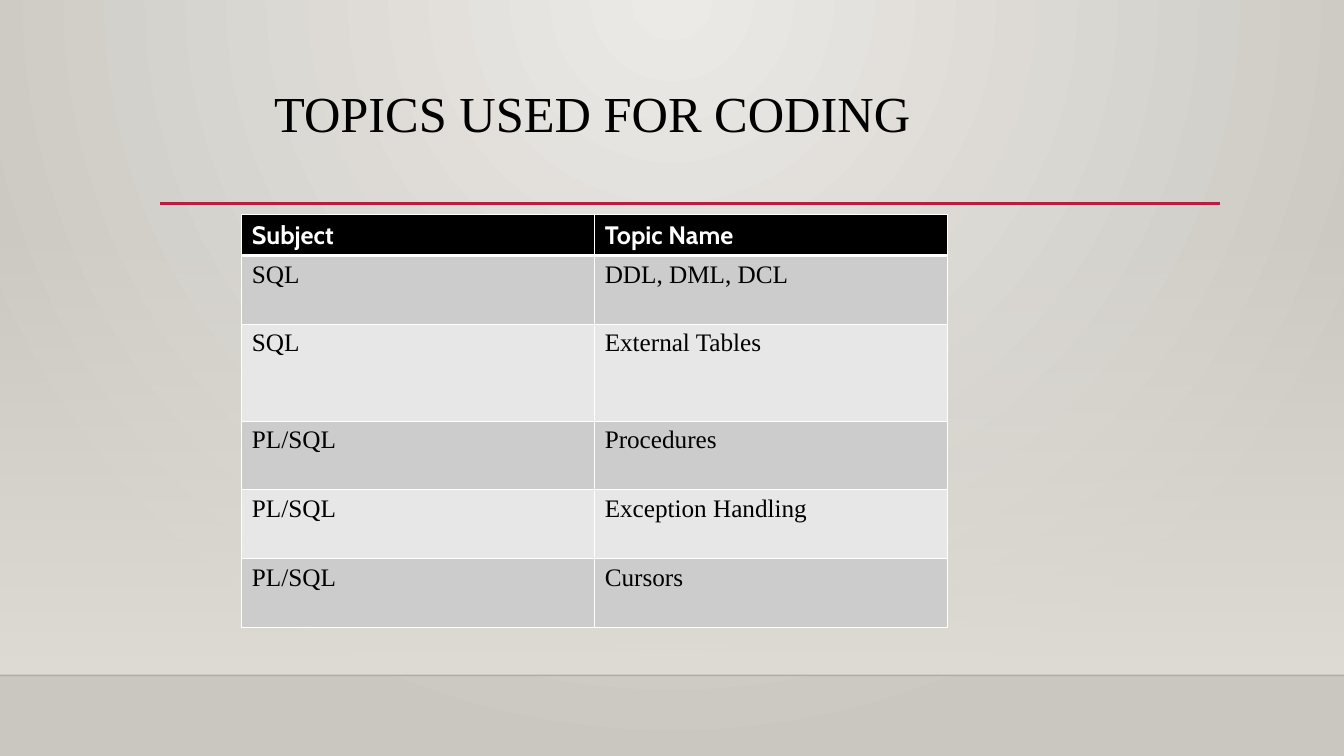
import pptx
import pptx.dml.color
import pptx.enum.shapes
import pptx.enum.text
import pptx.oxml
import pptx.oxml.ns
import pptx.util

RGBColor = pptx.dml.color.RGBColor
BLACK = RGBColor(0x00, 0x00, 0x00)
WHITE = RGBColor(0xFF, 0xFF, 0xFF)
CRIMSON = RGBColor(0xB7, 0x1E, 0x42)
PALE_STONE = RGBColor(0xEC, 0xEA, 0xE7)
DARK_STONE = RGBColor(0xCA, 0xC7, 0xC1)
FLOOR_GLOW = RGBColor(0xDF, 0xDB, 0xD5)
DARK_BAND = RGBColor(0xCC, 0xCC, 0xCC)
LIGHT_BAND = RGBColor(0xE7, 0xE7, 0xE7)

TOPICS = [
    ("Subject", "Topic Name"),
    ("SQL", "DDL, DML, DCL"),
    ("SQL", "External Tables"),
    ("PL/SQL", "Procedures"),
    ("PL/SQL", "Exception Handling"),
    ("PL/SQL", "Cursors"),
]
ROW_HEIGHTS = [5.4, 9.1, 12.8, 9.1, 9.1, 9.1]
HEADER_FONT = {"name": "Cabin", "size": pptx.util.Pt(18), "bold": True}
BODY_FONT = {"name": "Times New Roman", "size": pptx.util.Pt(18), "bold": False}
TITLE_FONT = {"name": "Times New Roman", "size": pptx.util.Pt(36), "bold": False}


def add_element(parent, tag, **attributes):
    """Append a drawing element with the given attributes."""
    element = pptx.oxml.ns.qn(tag)
    child = parent.makeelement(element, {key: str(value) for key, value in attributes.items()})
    parent.append(child)
    return child


def set_format(target, values):
    """Set each attribute named in a dict of format values."""
    for name, value in values.items():
        setattr(target, name, value)


class SlideBuilder:
    """Draw elements on a slide, with lengths in percent of its size."""

    def __init__(self, presentation):
        self.width = presentation.slide_width
        self.height = presentation.slide_height
        self.slide = presentation.slides.add_slide(presentation.slide_layouts[5])

    def across(self, share):
        return round(self.width * share / 100)

    def down(self, share):
        return round(self.height * share / 100)

    def box(self, left, top, width, height):
        return self.across(left), self.down(top), self.across(width), self.down(height)

    def style_text(self, frame, text, color, font):
        frame.text = text
        run = frame.paragraphs[0].runs[0]
        set_format(run.font, font)
        run.font.color.rgb = color

    def color_stops(self, fill, colors):
        fill.gradient()
        for stop, color in zip(fill.gradient_stops, colors):
            stop.color.rgb = color

    def background(self, center, edge):
        self.color_stops(self.slide.background.fill, (center, edge))
        gradient = self.slide.element.find(".//" + pptx.oxml.ns.qn("a:gradFill"))
        gradient.remove(gradient.find(pptx.oxml.ns.qn("a:lin")))
        circle = add_element(gradient, "a:path", path="circle")
        add_element(circle, "a:fillToRect", l=43000, t=0, r=43000, b=100000)

    def fading_panel(self, color, *place):
        rectangle = pptx.enum.shapes.MSO_SHAPE.RECTANGLE
        panel = self.slide.shapes.add_shape(rectangle, *self.box(*place))
        panel.shadow.inherit = False
        panel.line.fill.background()
        self.color_stops(panel.fill, (color, color))
        panel.fill.gradient_angle = 270
        first_color = panel.element.find(".//" + pptx.oxml.ns.qn("a:srgbClr"))
        add_element(first_color, "a:alpha", val=0)

    def rule(self, left, right, top, color, points, opacity=100):
        straight = pptx.enum.shapes.MSO_CONNECTOR.STRAIGHT
        line = self.slide.shapes.add_connector(
            straight, self.across(left), self.down(top), self.across(right), self.down(top))
        line.line.color.rgb = color
        line.line.width = pptx.util.Pt(points)
        if opacity < 100:
            line_color = line.element.find(".//" + pptx.oxml.ns.qn("a:srgbClr"))
            add_element(line_color, "a:alpha", val=opacity * 1000)
        add_element(line.element.spPr, "a:effectLst")

    def title(self, text, *place):
        title = self.slide.shapes.title
        set_format(title, dict(zip(("left", "top", "width", "height"), self.box(*place))))
        self.style_text(title.text_frame, text, BLACK, TITLE_FONT)
        set_format(title.text_frame, {
            "word_wrap": True,
            "auto_size": pptx.enum.text.MSO_AUTO_SIZE.NONE,
            "vertical_anchor": pptx.enum.text.MSO_ANCHOR.TOP,
        })
        set_format(title.text_frame.paragraphs[0], {
            "alignment": pptx.enum.text.PP_ALIGN.LEFT, "line_spacing": 0.9})

    def cell_borders(self, cell, points):
        properties = cell._tc.get_or_add_tcPr()
        for index, (side, width) in enumerate(points.items()):
            border = pptx.oxml.parse_xml(
                f'<a:{side} {pptx.oxml.ns.nsdecls("a")} w="{pptx.util.Pt(width)}">'
                f'<a:solidFill><a:srgbClr val="{WHITE}"/></a:solidFill></a:{side}>')
            properties.insert(index, border)

    def table(self, rows, heights, left, top, width):
        place = self.box(left, top, width, sum(heights))
        table = self.slide.shapes.add_table(len(rows), len(rows[0]), *place).table
        for row, height in zip(table.rows, heights):
            row.height = self.down(height)
        for row_index, texts in enumerate(rows):
            header = row_index == 0
            band = DARK_BAND if row_index % 2 else LIGHT_BAND
            borders = {"lnL": 1, "lnR": 1, "lnT": 3 if row_index == 1 else 1,
                       "lnB": 3 if header else 1}
            for column_index, text in enumerate(texts):
                cell = table.cell(row_index, column_index)
                self.style_text(cell.text_frame, text, WHITE if header else BLACK,
                                HEADER_FONT if header else BODY_FONT)
                cell.fill.solid()
                cell.fill.fore_color.rgb = BLACK if header else band
                self.cell_borders(cell, borders)


def main():
    """Build the slide of coding topics and save it."""
    presentation = pptx.Presentation()
    presentation.slide_width = pptx.util.Inches(13.33)
    presentation.slide_height = pptx.util.Inches(7.5)
    builder = SlideBuilder(presentation)
    builder.background(PALE_STONE, DARK_STONE)
    builder.fading_panel(FLOOR_GLOW, 0, 29.47, 100, 59.86)
    builder.rule(0, 100, 89.33, BLACK, 1, opacity=20)
    builder.rule(11.93, 90.75, 26.93, CRIMSON, 2.5)
    builder.title("TOPICS USED FOR CODING", 19.65, 11.07, 78.75, 15.33)
    builder.table(TOPICS, ROW_HEIGHTS, 18, 28.4, 52.5)
    presentation.save("out.pptx")


if __name__ == "__main__":
    main()
